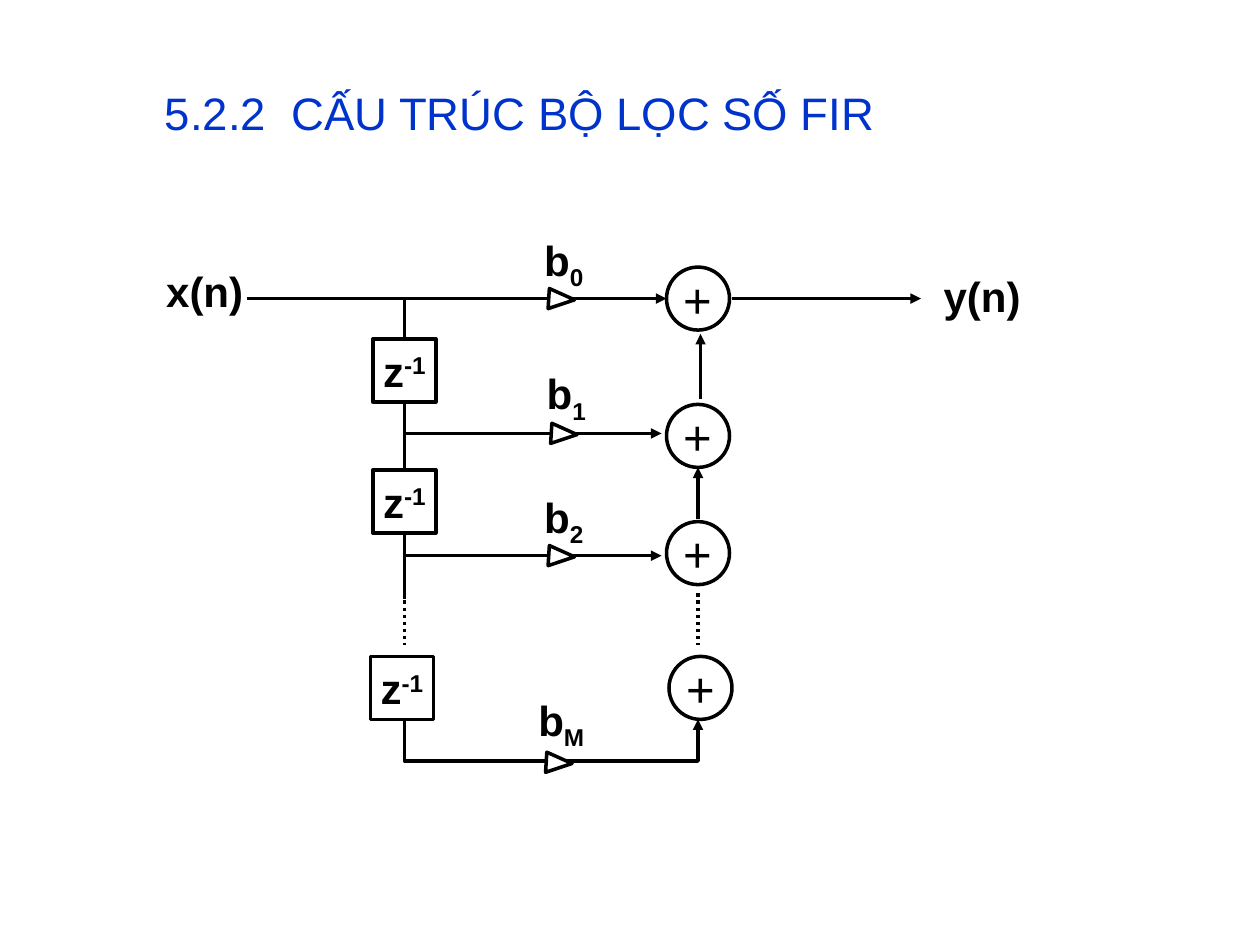
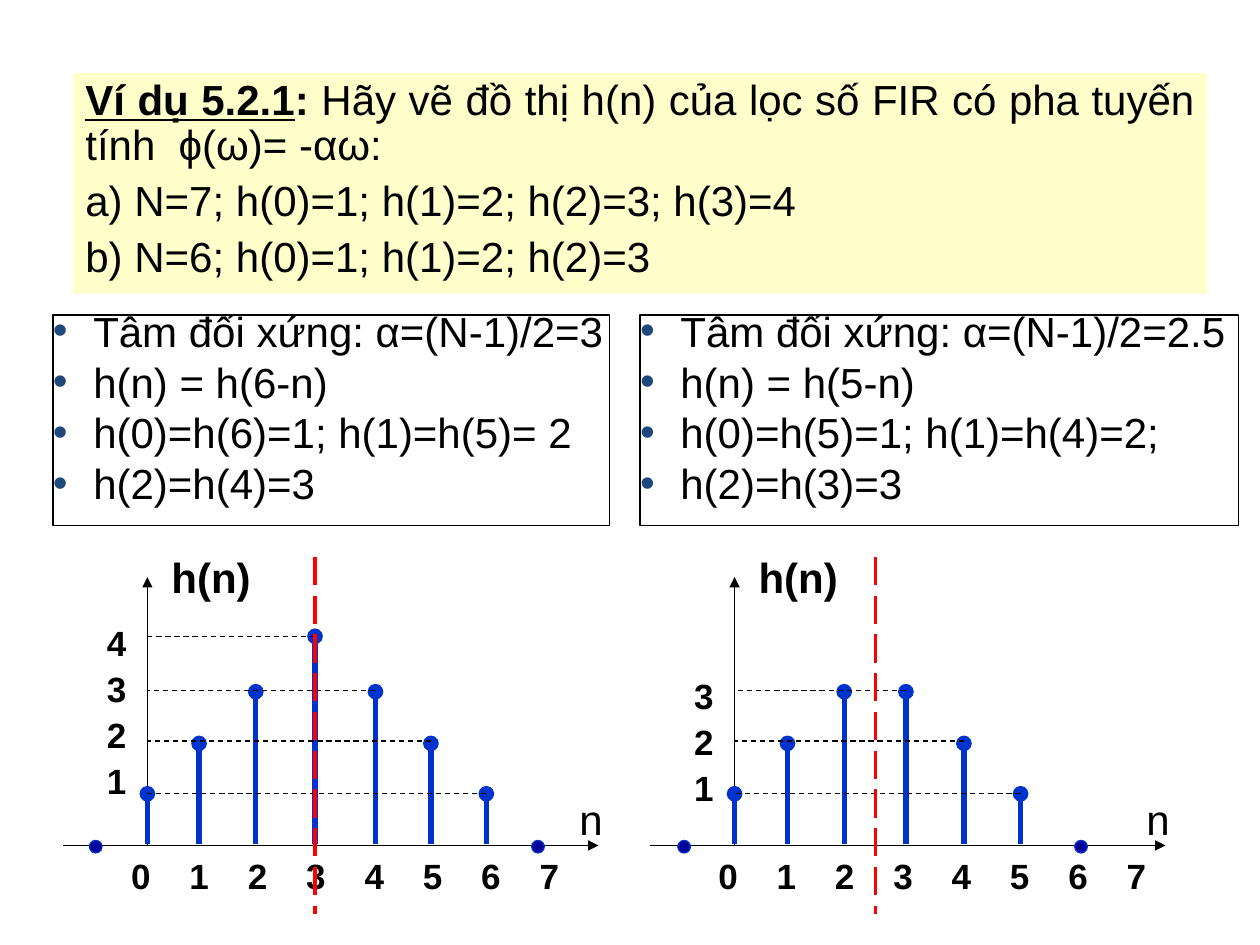
from lxml import etree
from pptx import Presentation
from pptx.dml.color import RGBColor
from pptx.enum import dml, shapes, text
from pptx.oxml.ns import qn
from pptx.util import Inches, Pt

BLACK = RGBColor(0x00, 0x00, 0x00)
WHITE = RGBColor(0xFF, 0xFF, 0xFF)
BLUE = RGBColor(0x00, 0x33, 0xCC)
NAVY = RGBColor(0x00, 0x00, 0x99)
RED = RGBColor(0xFF, 0x00, 0x00)
CREAM = RGBColor(0xFF, 0xFF, 0xCC)
BULLET_COLOR = "1F497D"
FONT = "Arial"
LEFT, CENTER, JUSTIFY = text.PP_ALIGN.LEFT, text.PP_ALIGN.CENTER, text.PP_ALIGN.JUSTIFY
DASH = dml.MSO_LINE


def write(shape, lines, size=24, bold=False, color=BLACK, align=LEFT,
          before=0, spacing=1.0, baseline=0):
    """Fill a shape with lines; each line is a list of runs, baseline applies after the first."""
    frame = shape.text_frame
    frame.word_wrap = True
    frame.vertical_anchor = text.MSO_ANCHOR.TOP
    frame.text = "\n".join(line[0] for line in lines)
    for paragraph, line in zip(frame.paragraphs, lines):
        paragraph.alignment = align
        paragraph.space_before = Pt(before)
        paragraph.line_spacing = spacing
        for extra in line[1:]:
            paragraph.add_run().text = extra
        for index, run in enumerate(paragraph.runs):
            run.font.name, run.font.size = FONT, Pt(size)
            run.font.bold, run.font.color.rgb = bold, color
            if index and baseline:
                run._r.get_or_add_rPr().set("baseline", str(baseline * 1000))
    return frame


def draw_line(slide, points, color=BLACK, width=2.0, dash=None, end=None):
    """Draw a straight connector, or an open outline when there are more than two points."""
    corners = [(Inches(x), Inches(y)) for x, y in points]
    if len(points) == 2:
        line = slide.shapes.add_connector(shapes.MSO_CONNECTOR.STRAIGHT, *corners[0], *corners[1])
    else:
        builder = slide.shapes.build_freeform(*corners[0])
        builder.add_line_segments(corners[1:], close=False)
        line = builder.convert_to_shape()
        line.fill.background()
    line.line.color.rgb = color
    line.line.width = Pt(width)
    if dash:
        line.line.dash_style = dash
    properties = line._element.spPr
    if end:
        etree.SubElement(properties.find(qn("a:ln")), qn("a:tailEnd"), type=end)
    etree.SubElement(properties, qn("a:effectLst"))
    return line


presentation = Presentation()
presentation.slide_width, presentation.slide_height = Inches(10), Inches(7.5)
blank = presentation.slide_layouts[6]

# Slide 1: FIR filter structure
slide = presentation.slides.add_slide(blank)
title = slide.shapes.add_textbox(*map(Inches, (1.21, 0.6, 6.75, 0.58)))
frame = write(title, [["5.2.2  CẤU TRÚC BỘ LỌC SỐ FIR"]], 26, color=BLUE)
frame.vertical_anchor = text.MSO_ANCHOR.MIDDLE

NODE = 0.5
nodes = [(shapes.MSO_SHAPE.RECTANGLE, x, y, ["z", "-1"], 24, True)
         for x, y in [(2.96, 2.69), (2.96, 3.73), (2.94, 5.21)]]
nodes += [(shapes.MSO_SHAPE.OVAL, x, y, ["+"], 28, False)
          for x, y in [(5.29, 2.12), (5.29, 3.21), (5.29, 4.14), (5.31, 5.21)]]
delays = []
for kind, x, y, symbol, size, bold in nodes:
    node = slide.shapes.add_shape(kind, *map(Inches, (x, y, NODE, NODE)))
    node.shadow.inherit = False
    node.fill.background()
    node.line.color.rgb, node.line.width = BLACK, Pt(2)
    frame = write(node, [symbol], size, bold, align=CENTER, baseline=30)
    frame.word_wrap = False
    frame.vertical_anchor = text.MSO_ANCHOR.MIDDLE
    if kind == shapes.MSO_SHAPE.RECTANGLE:
        delays.append(node)

DELAY_X, SUM_X = 3.21, 5.54
arrows = [
    [(1.96, 2.37), (5.29, 2.37)],
    [(5.81, 2.37), (7.31, 2.37)],
    [(DELAY_X, 3.44), (5.25, 3.44)],
    [(DELAY_X, 4.41), (5.25, 4.41)],
    [(SUM_X, 4.12), (SUM_X, 3.71)],
    [(5.56, 3.17), (5.56, 2.65)],
    [(DELAY_X, 5.71), (DELAY_X, 6.04), (SUM_X, 6.04), (SUM_X, 5.71)],
]
for points in arrows:
    draw_line(slide, points, end="triangle")
for x in (DELAY_X, SUM_X):
    draw_line(slide, [(x, 4.71), (x, 5.12)], dash=DASH.ROUND_DOT)

first_tap = draw_line(slide, [(DELAY_X, 2.37), (DELAY_X, 2.69)])
first_tap.end_connect(delays[0], 0)
second_tap = draw_line(slide, [(DELAY_X, 3.19), (DELAY_X, 3.73)])
second_tap.begin_connect(delays[0], 2)
second_tap.end_connect(delays[1], 0)
third_tap = draw_line(slide, [(DELAY_X, 4.23), (DELAY_X, 4.75)])
third_tap.begin_connect(delays[1], 2)

gains = [("0", 4.06, 1.81, 2.29), ("1", 4.08, 2.87, 3.36),
         ("2", 4.06, 3.85, 4.33), ("M", 4.04, 5.46, 5.97)]
labels = [(["x(n)"], 1.21, 2.06, 0.5), (["y(n)"], 7.38, 2.1, 0.5)]
labels += [(["b", index], x, y, 0.56) for index, x, y, _ in gains]
for runs, x, y, height in labels:
    label = slide.shapes.add_textbox(*map(Inches, (x, y, 0.83, height)))
    write(label, [runs], bold=True, align=CENTER, before=15, baseline=-25)

for _, label_x, _, y in gains:
    x = label_x + 0.29
    builder = slide.shapes.build_freeform(Inches(x), Inches(y + 0.16))
    builder.add_line_segments([(Inches(x + 0.01), Inches(y)), (Inches(x + 0.21), Inches(y + 0.09))])
    triangle = builder.convert_to_shape()
    triangle.shadow.inherit = False
    triangle.fill.solid()
    triangle.fill.fore_color.rgb = WHITE
    triangle.line.color.rgb, triangle.line.width = BLACK, Pt(2)

# Slide 2: worked example
slide = presentation.slides.add_slide(blank)
problem = slide.shapes.add_textbox(*map(Inches, (0.58, 0.58, 9, 1.75)))
problem.fill.solid()
problem.fill.fore_color.rgb = CREAM
frame = write(problem, [
    ["Ví dụ 5.2.1", ": ", "Hãy vẽ đồ thị h(n) của lọc số FIR có pha tuyến tính  ϕ(ω)= -αω:"],
    ["a) N=7; h(0)=1; h(1)=2; h(2)=3; h(3)=4"],
    ["b) N=6; h(0)=1; h(1)=2; h(2)=3"],
], align=JUSTIFY, before=6, spacing=0.9)
heading, colon = frame.paragraphs[0].runs[:2]
heading.font.bold = colon.font.bold = True
heading.font.underline = True

solutions = [
    (0.42, 4.42, ["Tâm đối xứng: α=(N-1)/2=3", "h(n) = h(6-n)",
                  "h(0)=h(6)=1; h(1)=h(5)= 2", "h(2)=h(4)=3"]),
    (5.08, 4.75, ["Tâm đối xứng: α=(N-1)/2=2.5", "h(n) = h(5-n)",
                  "h(0)=h(5)=1; h(1)=h(4)=2;", "h(2)=h(3)=3"]),
]
for x, width, steps in solutions:
    solution = slide.shapes.add_textbox(*map(Inches, (x, 2.5, width, 1.67)))
    solution.line.color.rgb, solution.line.width = BLACK, Pt(0.75)
    frame = write(solution, [[step] for step in steps], align=JUSTIFY, before=6, spacing=0.8)
    frame.margin_left = frame.margin_right = frame.margin_top = frame.margin_bottom = 0
    for paragraph in frame.paragraphs:
        properties = paragraph._p.get_or_add_pPr()
        properties.set("marL", str(Inches(0.32)))
        properties.set("indent", str(Inches(-0.32)))
        bullet_color = etree.SubElement(properties, qn("a:buClr"))
        etree.SubElement(bullet_color, qn("a:srgbClr"), val=BULLET_COLOR)
        etree.SubElement(properties, qn("a:buFont"), typeface=FONT)
        etree.SubElement(properties, qn("a:buChar"), char="•")

AXIS_Y = 6.71
STEM_TOP = {1: 6.3, 2: 5.9, 3: 5.49, 4: 5.05}
LEVEL_Y = {1: 6.3, 2: 5.88, 3: 5.48, 4: 5.05}
# origin, h(n), stem offsets, zero offsets, axis end, symmetry offset, level labels and their top and height
plots = [
    (1.17, [1, 2, 3, 4, 3, 2, 1], [0, 0.41, 0.86, 1.33, 1.81, 2.25, 2.69],
     [-0.41, 3.1], 3.58, 1.33, "4321", 4.85, 1.57),
    (5.83, [1, 2, 3, 3, 2, 1], [0, 0.42, 0.87, 1.36, 1.82, 2.27],
     [-0.4, 2.75], 3.42, 1.12, "321", 5.27, 1.2),
]
for origin, values, offsets, zeros, axis_end, symmetry, levels, levels_top, levels_height in plots:
    ticks = slide.shapes.add_textbox(*map(Inches, (origin - 0.92, 6.73, 4.5, 0.44)))
    frame = write(ticks, [["".join(f"\t{n}" for n in range(8))]], 20, True, before=12.5)
    tabs = etree.SubElement(frame.paragraphs[0]._p.get_or_add_pPr(), qn("a:tabLst"))
    for n in range(8):
        etree.SubElement(tabs, qn("a:tab"), pos=str(Inches(0.77 + 0.463 * n)), algn="ctr")

    draw_line(slide, [(origin, AXIS_Y), (origin, 4.58)], width=0.75, end="triangle")
    draw_line(slide, [(origin - 0.67, AXIS_Y), (origin + axis_end, AXIS_Y)], width=0.75, end="triangle")
    for zero in zeros:
        dot = slide.shapes.add_shape(
            shapes.MSO_SHAPE.OVAL, *map(Inches, (origin + zero - 0.05, 6.67, 0.1, 0.1)))
        dot.shadow.inherit = False
        dot.fill.solid()
        dot.fill.fore_color.rgb = NAVY
        dot.line.color.rgb, dot.line.width = BLUE, Pt(0.75)

    plot_labels = [
        (levels, (origin - 0.42, levels_top, 0.42, levels_height), 20, True, 12.5, 1.1),
        ("n", (origin + axis_end - 0.25, 6.25, 0.58, 0.5), 24, False, 15, 1.0),
        (" h(n)", (origin, 4.33, 1.25, 0.5), 24, True, 15, 1.0),
    ]
    for caption, box, size, bold, before, spacing in plot_labels:
        label = slide.shapes.add_textbox(*map(Inches, box))
        write(label, [[caption]], size, bold, before=before, spacing=spacing)

    last_offset = dict(zip(values, offsets))
    for value, offset in zip(values, offsets):
        x = origin + offset
        draw_line(slide, [(x, 6.7), (x, STEM_TOP[value])], BLUE, 3, end="oval")
    for value, offset in last_offset.items():
        y = LEVEL_Y[value]
        draw_line(slide, [(origin + offset, y), (origin, y)], width=0.75, dash=DASH.DASH)
    x = origin + symmetry
    draw_line(slide, [(x, 4.42), (x, 7.25)], RED, dash=DASH.LONG_DASH)

presentation.save("out.pptx")
